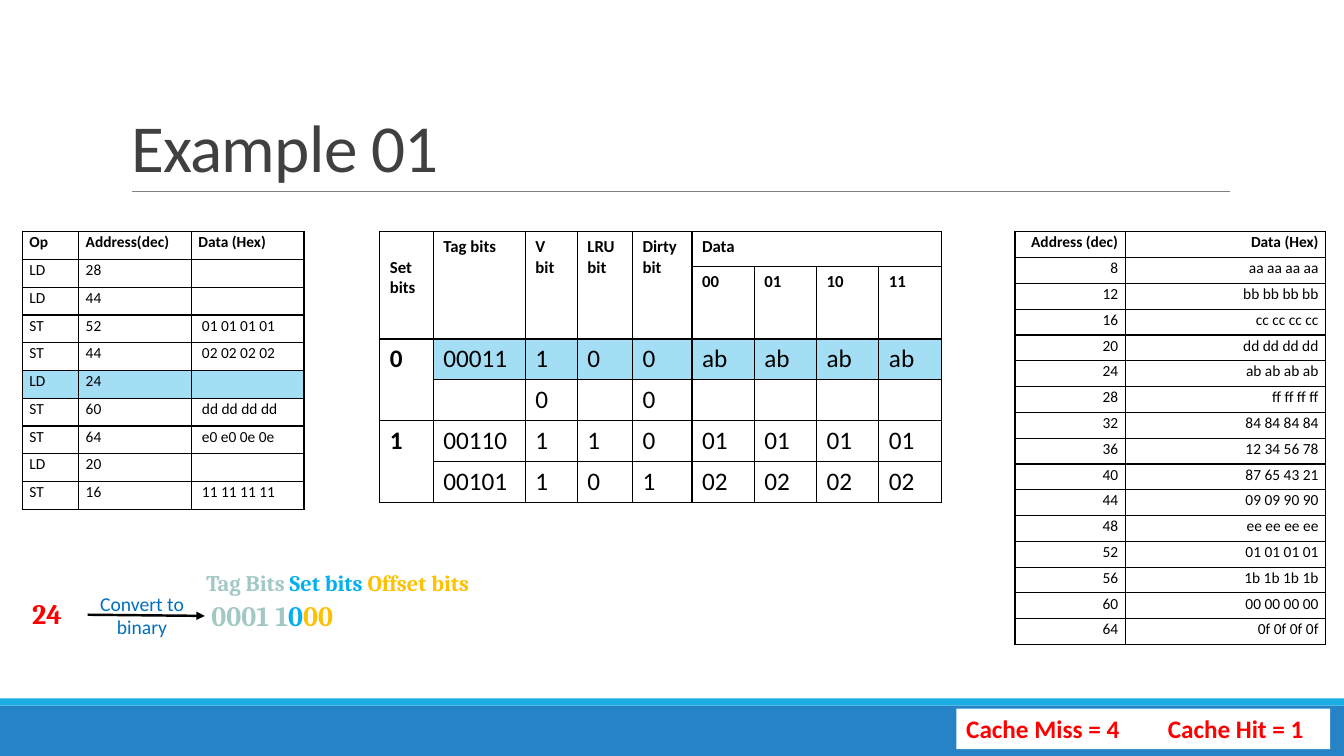
from lxml.etree import SubElement
from pptx import Presentation
from pptx.dml.color import RGBColor
from pptx.enum.dml import MSO_LINE
from pptx.enum.shapes import MSO_CONNECTOR, MSO_SHAPE
from pptx.enum.text import MSO_ANCHOR, PP_ALIGN
from pptx.oxml.ns import qn
from pptx.util import Cm, Pt

BLACK, WHITE, RED, SKY = "000000", "FFFFFF", "FF0000", "A4DEF4"
TAG, SET, OFFSET = "A1C8C5", "00B0F0", "FFC000"
TOP = 5.84  # shared top of the three tables


def hue(code):
    return RGBColor.from_string(code)


def style(font, size, code, bold=False, name="Calibri"):
    font.name, font.size, font.bold = name, Pt(size), bold
    font.color.rgb = hue(code)


def paint(item, code):
    item.fill.solid()
    item.fill.fore_color.rgb = hue(code)


def add_band(slide, top, height, code):
    band = slide.shapes.add_shape(
        MSO_SHAPE.RECTANGLE, 0, Cm(top), Cm(33.87), Cm(height))
    band.shadow.inherit = False
    paint(band, code)
    band.line.fill.background()


def add_line(slide, start, end, code, width, arrow=False):
    line = slide.shapes.add_connector(
        MSO_CONNECTOR.STRAIGHT, *(Cm(n) for n in start + end))
    line.line.color.rgb = hue(code)
    line.line.width = Pt(width)
    line.line.dash_style = MSO_LINE.SOLID
    if arrow:
        SubElement(line.line._get_or_add_ln(), qn("a:tailEnd"), type="triangle")
    SubElement(line._element.spPr, qn("a:effectLst"))


def add_text(slide, box, parts, size, bold=True, name="Cambria", fill=None,
             align=PP_ALIGN.LEFT):
    """Each part is (text, colour); a part starting with a newline opens a paragraph."""
    shape = slide.shapes.add_textbox(*(Cm(n) for n in box))
    if fill:
        paint(shape, fill)
    frame = shape.text_frame
    frame.word_wrap = True
    para = frame.paragraphs[0]
    for text, code in parts:
        if text.startswith("\n"):
            para = frame.add_paragraph()
        para.alignment = align
        run = para.add_run()
        run.text = text.lstrip("\n")
        style(run.font, size, code, bold, name)


def add_edges(cell):
    props = cell._tc.get_or_add_tcPr()
    for pos, side in enumerate(("lnL", "lnR", "lnT", "lnB")):
        edge = SubElement(props, qn("a:" + side), w="12700")
        fill = SubElement(edge, qn("a:solidFill"))
        SubElement(fill, qn("a:srgbClr"), val=BLACK)
        props.remove(edge)
        props.insert(pos, edge)


def add_grid(slide, left, cols, rows, data, look):
    """look(row, col) gives size, bold and fill of a cell."""
    frame = slide.shapes.add_table(
        len(rows), len(cols), Cm(left), Cm(TOP), Cm(sum(cols)), Cm(sum(rows)))
    table = frame.table
    table.first_row = table.horz_banding = False
    for col, width in zip(table.columns, cols):
        col.width = Cm(width)
    for row, height in zip(table.rows, rows):
        row.height = Cm(height)
    for r, line in enumerate(data):
        for c, text in enumerate(line):
            cell = table.cell(r, c)
            size, bold, fill = look(r, c)
            cell.text = text
            style(cell.text_frame.paragraphs[0].font, size, BLACK, bold)
            if fill:
                paint(cell, fill)
            else:
                cell.fill.background()
            add_edges(cell)
    return table


def set_tight(table, align):
    for cell in table.iter_cells():
        cell.margin_left = cell.margin_right = Cm(0.18)
        cell.margin_top = cell.margin_bottom = 0
        para = cell.text_frame.paragraphs[0]
        para.alignment = align
        para.line_spacing = 1.07


def add_title(slide):
    title = slide.shapes.title
    title.left, title.top, title.width, title.height = (
        Cm(3.05), Cm(0.79), Cm(27.94), Cm(4.04))
    frame = title.text_frame
    frame.text = "Example 01"
    frame.vertical_anchor = MSO_ANCHOR.BOTTOM
    para = frame.paragraphs[0]
    para.alignment = PP_ALIGN.LEFT
    para.line_spacing = 0.85
    style(para.font, 48, "404040")
    para.runs[0]._r.get_or_add_rPr().set("spc", "-50")


def add_cache(slide):
    data = [
        ["Set bits", "Tag bits", "V bit", "LRU bit", "Dirty bit", "Data"] + [""] * 3,
        [""] * 5 + ["00", "01", "10", "11"],
        ["0", "00011", "1", "0", "0"] + ["ab"] * 4,
        ["", "", "0", "", "0"] + [""] * 4,
        ["1", "00110", "1", "1", "0"] + ["01"] * 4,
        ["", "00101", "1", "0", "1"] + ["02"] * 4,
    ]

    def look(r, c):
        fill = SKY if r == 2 and c else None
        return (12 if r < 2 else 18), r < 2 or c == 0, fill

    cols = [1.35, 2.32, 1.31, 1.39, 1.5] + [1.57] * 4
    table = add_grid(slide, 9.57, cols, [0.88, 1.82] + [1.03] * 4, data, look)
    for c in range(5):
        table.cell(0, c).merge(table.cell(1, c))
    table.cell(0, 5).merge(table.cell(0, 8))
    for r in (2, 4):
        table.cell(r, 0).merge(table.cell(r + 1, 0))
    table.cell(0, 0).margin_top = Cm(0.64)


def add_trace(slide):
    data = [
        ("Op", "Address(dec)", "Data (Hex)"),
        ("LD", "28", ""), ("LD", "44", ""),
        ("ST", "52", "01 01 01 01"), ("ST", "44", "02 02 02 02"),
        ("LD", "24", ""),
        ("ST", "60", "dd dd dd dd"), ("ST", "64", "e0 e0 0e 0e"),
        ("LD", "20", ""), ("ST", "16", "11 11 11 11"),
    ]
    table = add_grid(slide, 0.56, [1.42, 2.84, 2.84], [0.7] * len(data), data,
                     lambda r, c: (11, r == 0, SKY if r == 5 else None))
    set_tight(table, PP_ALIGN.LEFT)
    for r in range(1, len(data)):
        table.cell(r, 2).margin_left = Cm(0.27)


def add_memory(slide):
    words = ["aa aa aa aa", "bb bb bb bb", "cc cc cc cc", "dd dd dd dd",
             "ab ab ab ab", "ff ff ff ff", "84 84 84 84", "12 34 56 78",
             "87 65 43 21", "09 09 90 90", "ee ee ee ee", "01 01 01 01",
             "1b 1b 1b 1b", "00 00 00 00", "0f 0f 0f 0f"]
    data = [("Address (dec)", "Data (Hex)")]
    data += [(str(8 + 4 * n), word) for n, word in enumerate(words)]
    table = add_grid(slide, 25.58, [2.78, 5.05], [0.65] * len(data), data,
                     lambda r, c: (11, r == 0, None))
    set_tight(table, PP_ALIGN.RIGHT)


def main():
    deck = Presentation()
    deck.slide_width, deck.slide_height = Cm(33.87), Cm(19.05)
    slide = deck.slides.add_slide(deck.slide_layouts[5])

    # Frame and title
    add_band(slide, 17.78, 1.27, "2683C6")
    add_band(slide, 17.6, 0.18, "1CADE4")
    add_line(slide, (3.33, 4.82), (31, 4.82), "808080", 0.5)
    add_title(slide)

    # Tables
    add_cache(slide)
    add_trace(slide)
    add_memory(slide)

    # Address conversion
    add_text(slide, (2.21, 14.78, 2.74, 1.45),
             [("Convert to", "0070C0"), ("\nbinary", "0070C0")],
             14, False, "Calibri", WHITE, PP_ALIGN.CENTER)
    add_text(slide, (0.56, 14.91, 2.49, 1.12), [("24", RED)], 20)
    add_line(slide, (2.21, 15.49), (5.16, 15.52), BLACK, 1.75, arrow=True)
    add_text(slide, (5.08, 14.96, 5.46, 1.12),
             [("0001 1", TAG), ("0", SET), ("00", OFFSET)], 20)
    add_text(slide, (4.95, 14.22, 7.16, 0.94),
             [("Tag Bits ", TAG), ("Set bits ", SET), ("Offset bits", OFFSET)],
             16, fill=WHITE)

    # Score
    add_text(slide, (24.1, 17.86, 9.42, 1.02),
             [("Cache Miss = 4\tCache Hit = 1", RED)], 18, name="Calibri", fill=WHITE)

    deck.save("out.pptx")


if __name__ == "__main__":
    main()
